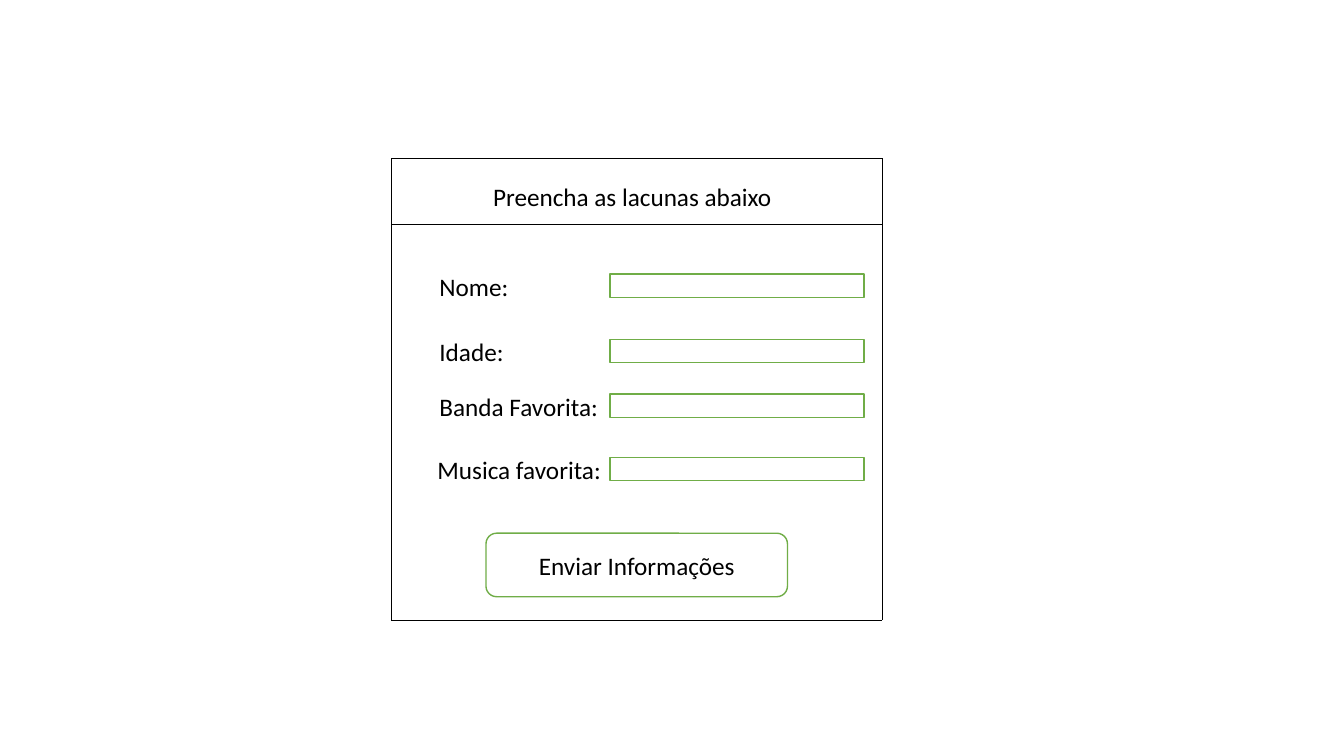
"""Build a slide with a small form: a heading, four fields and a send button."""
from dataclasses import dataclass

from lxml import etree
from pptx import Presentation
from pptx.dml.color import RGBColor
from pptx.enum.shapes import MSO_CONNECTOR, MSO_SHAPE
from pptx.enum.text import MSO_ANCHOR, MSO_AUTO_SIZE, PP_ALIGN
from pptx.oxml.ns import qn
from pptx.util import Inches, Pt

RECT, ROUND = MSO_SHAPE.RECTANGLE, MSO_SHAPE.ROUNDED_RECTANGLE
LINE = MSO_CONNECTOR.STRAIGHT
TOP, MID = MSO_ANCHOR.TOP, MSO_ANCHOR.MIDDLE
LEFT, MIDDLE = PP_ALIGN.LEFT, PP_ALIGN.CENTER
FIXED, GROW = MSO_AUTO_SIZE.NONE, MSO_AUTO_SIZE.SHAPE_TO_FIT_TEXT


@dataclass(frozen=True)
class Theme:
    """Colours, font and sizes of the form."""
    ink: RGBColor = RGBColor(0, 0, 0)
    paper: RGBColor = RGBColor(255, 255, 255)
    green: RGBColor = RGBColor(0x70, 0xAD, 0x47)
    font: str = "Calibri"
    size: Pt = Pt(18)
    thin: Pt = Pt(0.5)
    edge: Pt = Pt(1)


THEME = Theme()
HEAD = ("Preencha as lacunas abaixo", (4.79, 1.75, 3.06, 0.4))
SEND = ("Enviar Informações", (4.82, 5.29, 2.99, 0.63))
FIELDS = [
    ("Nome:", 4.26, 0.89, 2.72),
    ("Idade:", 4.26, 0.85, 3.37),
    ("Banda Favorita:", 4.26, 1.79, 3.91),
    ("Musica favorita:", 4.24, 1.84, 4.54),
]
BOX_X, BOX_W, BOX_H = 6.05, 2.52, 0.23
LABEL_H, LABEL_UP = 0.4, 0.08
X1, X2 = 3.88, 8.75
ROWS = (1.57, 2.23, 6.15)


def write(frame, text, align=LEFT, anchor=TOP, wrap=True, fit=FIXED):
    """Put one styled line of text in a frame."""
    frame.word_wrap = wrap
    frame.auto_size = fit
    frame.vertical_anchor = anchor
    para = frame.paragraphs[0]
    para.alignment = align
    run = para.add_run()
    run.text = text
    run.font.name = THEME.font
    run.font.size = THEME.size
    run.font.color.rgb = THEME.ink


def add_box(slide, kind, place):
    """Add a white box with a green edge."""
    box = slide.shapes.add_shape(kind, *map(Inches, place))
    box.shadow.inherit = False
    box.fill.solid()
    box.fill.fore_color.rgb = THEME.paper
    box.line.color.rgb = THEME.green
    box.line.width = THEME.edge
    return box


def add_rule(slide, *ends):
    """Add a thin black line."""
    rule = slide.shapes.add_connector(LINE, *map(Inches, ends))
    rule.line.color.rgb = THEME.ink
    rule.line.width = THEME.thin
    etree.SubElement(rule.element.spPr, qn("a:effectLst"))


def add_field(slide, label, left, width, top):
    """Add a label and its empty field."""
    add_box(slide, RECT, (BOX_X, top, BOX_W, BOX_H))
    place = (left, top - LABEL_UP, width, LABEL_H)
    note = slide.shapes.add_textbox(*map(Inches, place))
    write(note.text_frame, label, wrap=False, fit=GROW)


def main():
    """Draw the form and save it."""
    deck = Presentation()
    deck.slide_width, deck.slide_height = Inches(13.33), Inches(7.5)
    slide = deck.slides.add_slide(deck.slide_layouts[5])

    for x in (X1, X2):
        add_rule(slide, x, ROWS[0], x, ROWS[-1])
    for y in ROWS:
        add_rule(slide, X1, y, X2, y)
    for field in FIELDS:
        add_field(slide, *field)

    text, place = SEND
    send = add_box(slide, ROUND, place)
    write(send.text_frame, text, align=MIDDLE, anchor=MID)

    text, place = HEAD
    head = slide.shapes.title
    head.left, head.top, head.width, head.height = map(Inches, place)
    write(head.text_frame, text)

    deck.save("out.pptx")


if __name__ == "__main__":
    main()
